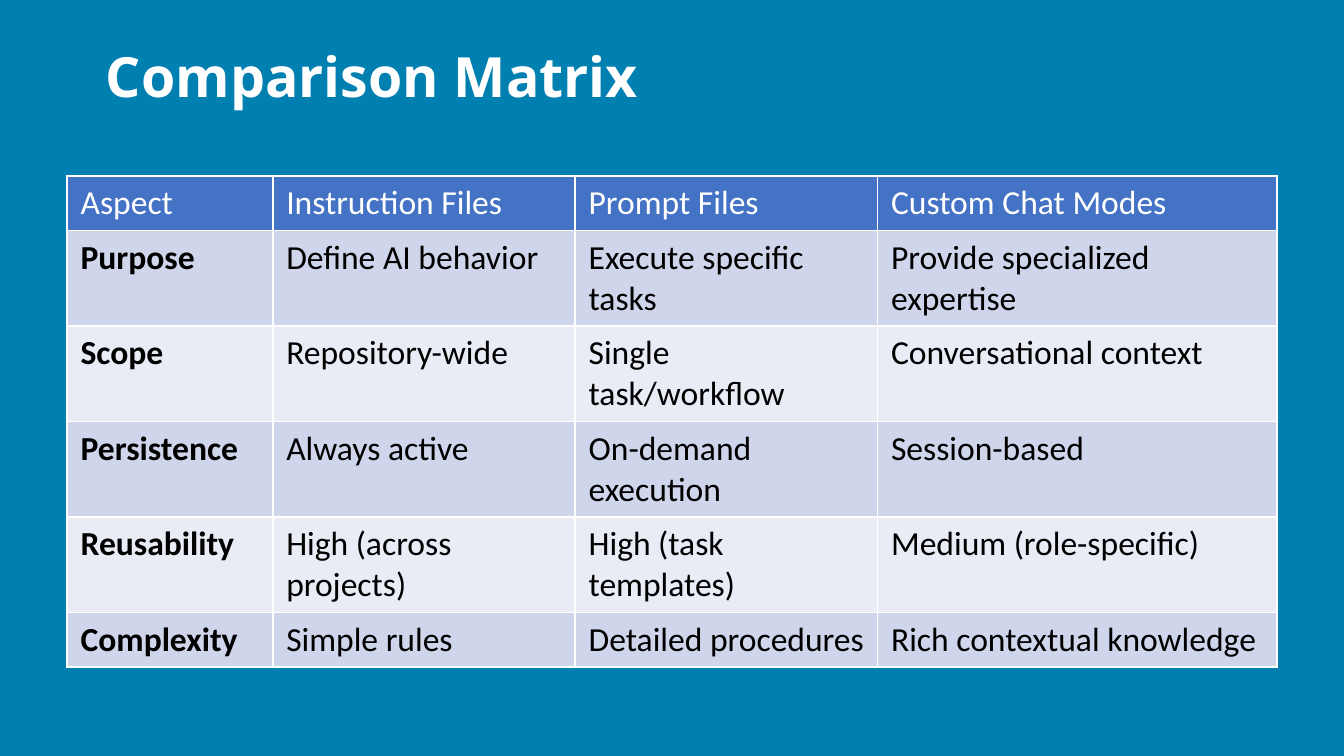
import pptx
import pptx.dml.color
import pptx.enum.text
import pptx.oxml
import pptx.oxml.ns
import pptx.util

ROWS = [
    ["Aspect", "Instruction Files", "Prompt Files", "Custom Chat Modes"],
    ["Purpose", "Define AI behavior", "Execute specific tasks", "Provide specialized expertise"],
    ["Scope", "Repository-wide", "Single task/workflow", "Conversational context"],
    ["Persistence", "Always active", "On-demand execution", "Session-based"],
    ["Reusability", "High (across projects)", "High (task templates)", "Medium (role-specific)"],
    ["Complexity", "Simple rules", "Detailed procedures", "Rich contextual knowledge"],
]
COLUMN_SHARES = [0.17, 0.25, 0.25, 0.33]
ONE_LINE, TWO_LINES = 7.2, 12.64
ROW_HEIGHTS = [ONE_LINE] + [TWO_LINES] * 4 + [ONE_LINE]


def color(value):
    return pptx.dml.color.RGBColor.from_string(value)


class Deck:
    background = "007FB1"
    white, black = "FFFFFF", "000000"
    header, bands = "4472C4", ["CFD5EA", "E9EBF5"]
    title_font, body_font = "Noto Sans", "Calibri"

    def __init__(self):
        self.prs = pptx.Presentation()
        self.prs.slide_width = pptx.util.Inches(10)
        self.prs.slide_height = self.prs.slide_width * 9 // 16

    def add_slide(self):
        self.s = self.prs.slides.add_slide(self.prs.slide_layouts[6])
        fill = self.s.background.fill
        fill.solid()
        fill.fore_color.rgb = color(self.background)

    def x(self, percent):
        return round(self.prs.slide_width * percent / 100)

    def y(self, percent):
        return round(self.prs.slide_height * percent / 100)

    def set_text(self, tf, text, font, size, ink, bold):
        tf.text = text
        p = tf.paragraphs[0]
        r = p.runs[0]
        r.font.name = font
        r.font.size = pptx.util.Pt(size)
        r.font.color.rgb = color(ink)
        r.font.bold = bold
        return p

    def title(self, text, left, top, width, height):
        sp = self.s.shapes.add_textbox(self.x(left), self.y(top), self.x(width), self.y(height))
        tf = sp.text_frame
        tf.word_wrap = True
        tf.vertical_anchor = pptx.enum.text.MSO_ANCHOR.MIDDLE
        p = self.set_text(tf, text, self.title_font, 29.7, self.white, True)
        p.line_spacing = 0.9

    def borders(self, cell):
        tc_pr = cell._tc.get_or_add_tcPr()
        for side in "LRTB":
            tc_pr.append(pptx.oxml.parse_xml(
                f'<a:ln{side} {pptx.oxml.ns.nsdecls("a")} w="{pptx.util.Pt(1)}">'
                f'<a:solidFill><a:srgbClr val="{self.white}"/></a:solidFill></a:ln{side}>'
            ))

    def table(self, rows, shares, heights, left, top, width):
        frame = self.s.shapes.add_table(
            len(rows), len(shares), self.x(left), self.y(top), self.x(width), self.y(sum(heights))
        )
        table = frame.table
        for column, share in zip(table.columns, shares):
            column.width = self.x(width * share)
        for i, (row, height) in enumerate(zip(rows, heights)):
            table.rows[i].height = self.y(height)
            for j, text in enumerate(row):
                cell = table.cell(i, j)
                self.borders(cell)
                cell.fill.solid()
                cell.fill.fore_color.rgb = color(self.bands[(i - 1) % 2] if i else self.header)
                ink = self.black if i else self.white
                self.set_text(cell.text_frame, text, self.body_font, 18, ink, i > 0 and j == 0)


def main():
    deck = Deck()
    deck.add_slide()
    deck.title("Comparison Matrix", 6.9, 5.33, 73.2, 10.3)
    deck.table(ROWS, COLUMN_SHARES, ROW_HEIGHTS, 5, 23.29, 90)
    deck.prs.save("out.pptx")


if __name__ == "__main__":
    main()
